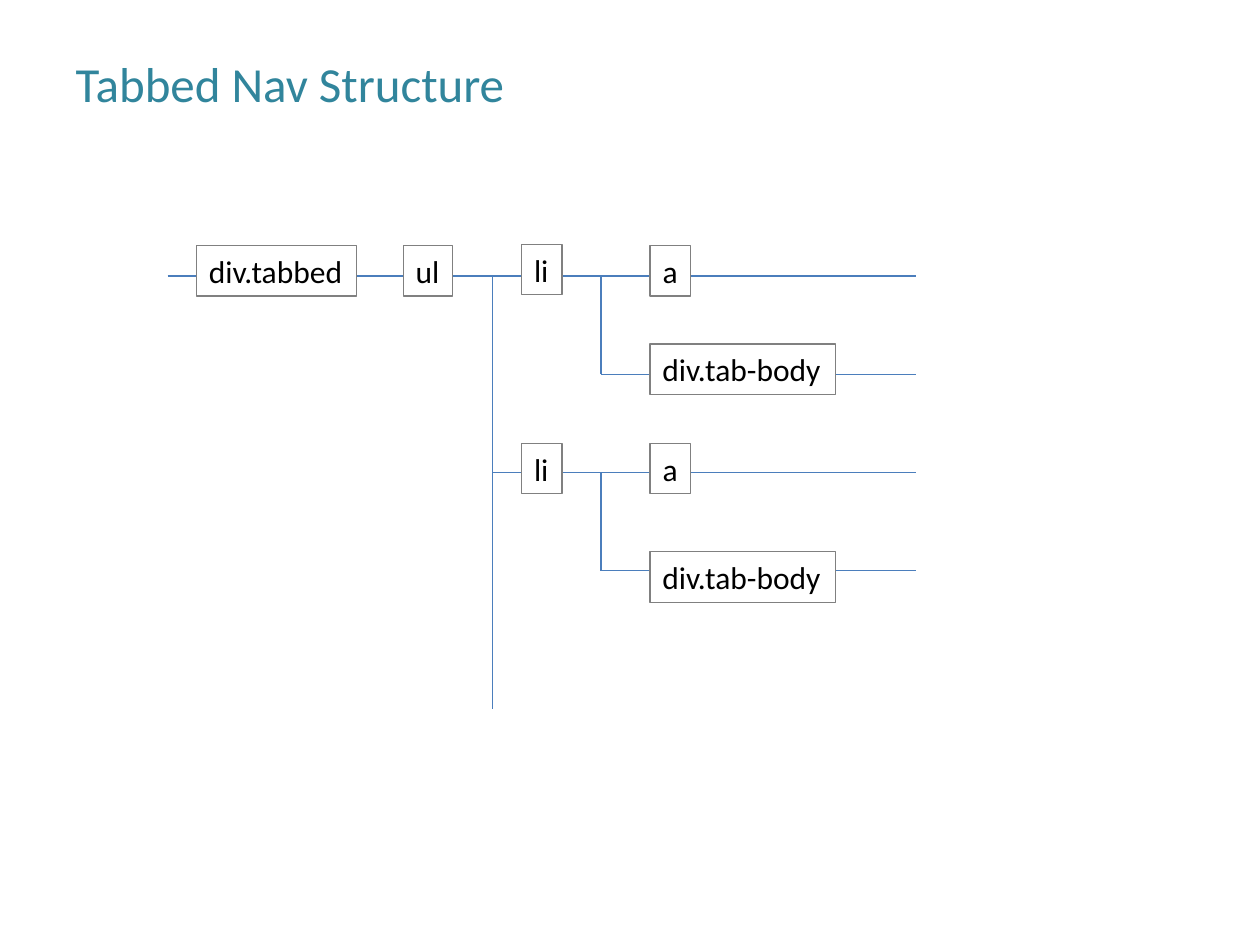
from pptx import Presentation
from pptx.dml.color import RGBColor
from pptx.enum.shapes import MSO_CONNECTOR
from pptx.enum.text import MSO_ANCHOR, MSO_AUTO_SIZE, PP_ALIGN
from pptx.oxml.ns import qn
from pptx.util import Inches, Pt
from lxml import etree

STRAIGHT = MSO_CONNECTOR.STRAIGHT
MIDDLE = MSO_ANCHOR.MIDDLE
GROW = MSO_AUTO_SIZE.SHAPE_TO_FIT_TEXT
FIXED = MSO_AUTO_SIZE.NONE
LEFT = PP_ALIGN.LEFT

TEAL = RGBColor(0x31, 0x85, 0x9C)
BLUE = RGBColor(0x4B, 0x7E, 0xBC)
GRAY = RGBColor(0x80, 0x80, 0x80)
WHITE = RGBColor(0xFF, 0xFF, 0xFF)
BLACK = RGBColor(0x00, 0x00, 0x00)


class Board:
    font = "Calibri"
    weight = Pt(0.75)
    height = 0.4

    def __init__(self, deck):
        self.slide = deck.slides.add_slide(deck.slide_layouts[5])

    def style(self, frame, size, color):
        para = frame.paragraphs[0]
        para.alignment = LEFT
        for run in para.runs:
            run.font.name = self.font
            run.font.size = Pt(size)
            run.font.color.rgb = color

    def title(self, text, left, top, width, height):
        shape = self.slide.shapes.title
        shape.left, shape.top = Inches(left), Inches(top)
        shape.width, shape.height = Inches(width), Inches(height)
        frame = shape.text_frame
        frame.text = text
        frame.auto_size = FIXED
        frame.vertical_anchor = MIDDLE
        self.style(frame, 28, TEAL)

    def line(self, x1, y1, x2, y2):
        link = self.slide.shapes.add_connector(
            STRAIGHT, Inches(x1), Inches(y1), Inches(x2), Inches(y2))
        link.line.color.rgb = BLUE
        link.line.width = self.weight
        etree.SubElement(link._element.spPr, qn("a:effectLst"))

    def node(self, text, left, top, width):
        box = self.slide.shapes.add_textbox(
            Inches(left), Inches(top), Inches(width), Inches(self.height))
        box.fill.solid()
        box.fill.fore_color.rgb = WHITE
        box.line.color.rgb = GRAY
        box.line.width = self.weight
        frame = box.text_frame
        frame.text = text
        frame.word_wrap = False
        frame.auto_size = GROW
        self.style(frame, 18, BLACK)


deck = Presentation()
deck.slide_width, deck.slide_height = Inches(10), Inches(7.5)
board = Board(deck)
board.title("Tabbed Nav Structure", 0.5, 0.3, 9, 0.72)

# Tree grid
START, TRUNK, FORK, END = 1.33, 3.91, 4.77, 7.27
ITEM, LEAF = 4.14, 5.16
TOP, STEP = 2.19, 0.78

# Root row and trunk
board.line(START, TOP, END, TOP)
board.line(TRUNK, TOP, TRUNK, 5.63)
board.node("div.tabbed", 1.56, 1.95, 1.27)
board.node("ul", 3.2, 1.95, 0.39)

# List items: row, then tops of the li, a and body boxes
items = [(0, 1.94, 1.95, 2.73), (2, 3.52, 3.52, 4.38)]
for row, li_top, a_top, body_top in items:
    y = TOP + row * STEP
    if row:
        board.line(TRUNK, y, END, y)
    board.line(FORK, y, FORK, y + STEP)
    board.line(FORK, y + STEP, END, y + STEP)
    board.node("li", ITEM, li_top, 0.32)
    board.node("a", LEAF, a_top, 0.32)
    board.node("div.tab-body", LEAF, body_top, 1.47)

deck.save("out.pptx")
